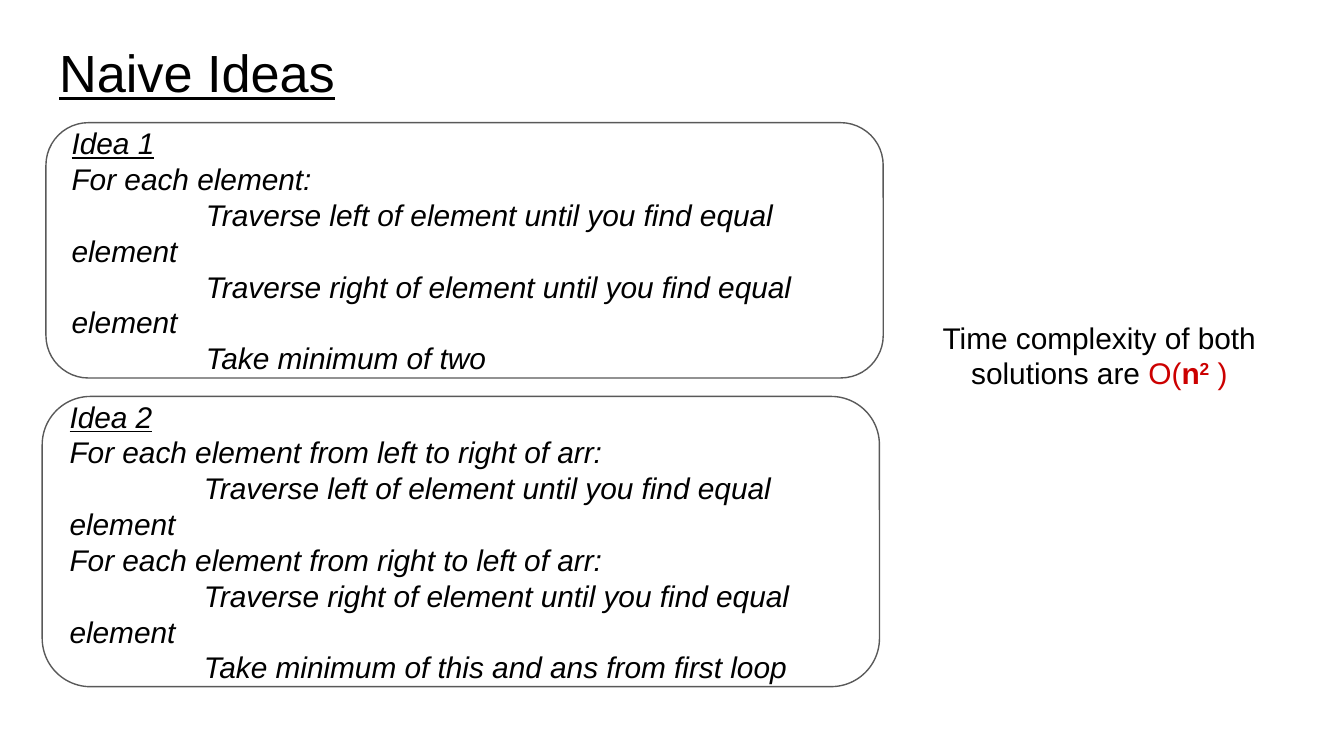
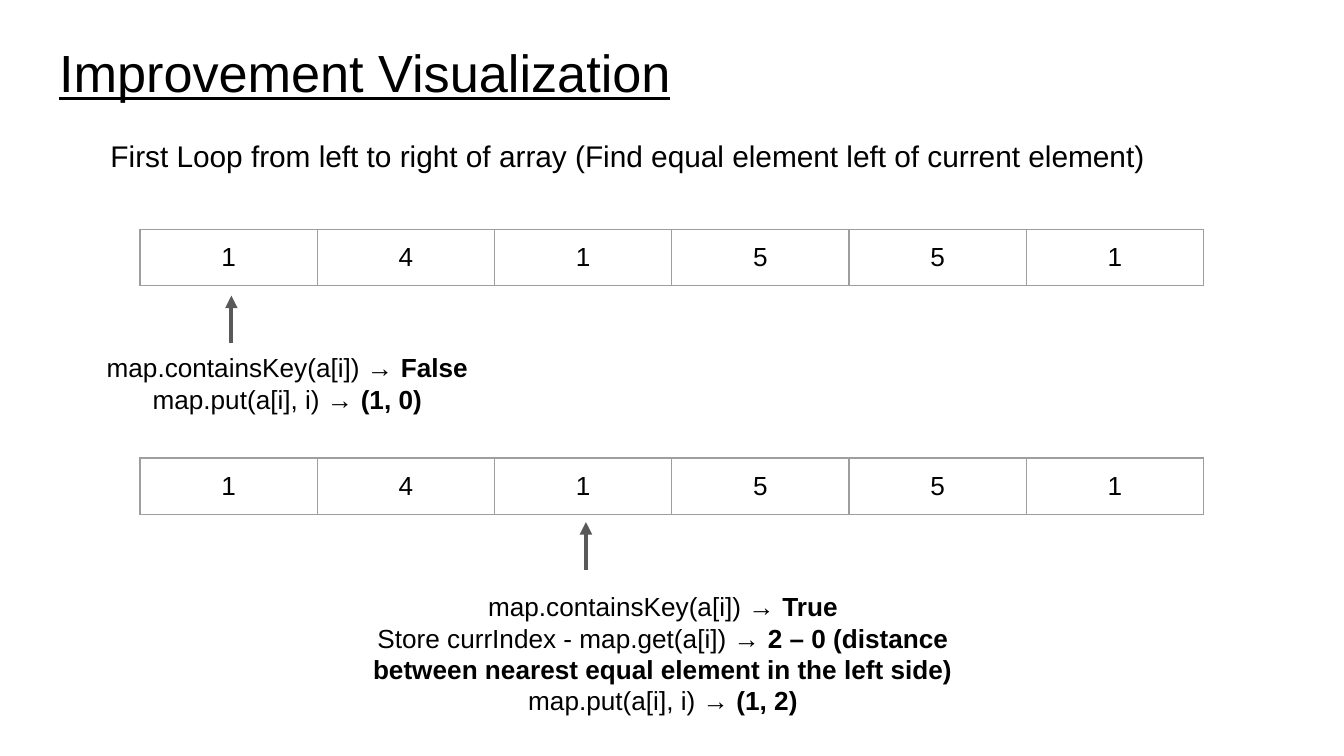
from dataclasses import dataclass

from lxml import etree
from pptx import Presentation
from pptx.dml.color import RGBColor
from pptx.enum.shapes import MSO_CONNECTOR, MSO_SHAPE
from pptx.enum.text import MSO_ANCHOR, MSO_AUTO_SIZE, PP_ALIGN
from pptx.oxml.ns import qn
from pptx.util import Inches, Pt

STRAIGHT = MSO_CONNECTOR.STRAIGHT
ROUNDED = MSO_SHAPE.ROUNDED_RECTANGLE
TOP, MIDDLE = MSO_ANCHOR.TOP, MSO_ANCHOR.MIDDLE
LEFT, CENTER = PP_ALIGN.LEFT, PP_ALIGN.CENTER
NO_AUTOFIT = MSO_AUTO_SIZE.NONE
TITLE_ONLY = 5


@dataclass(frozen=True)
class Theme:
    font: str = "Arial"
    ink: str = "000000"
    paper: str = "FFFFFF"
    accent: str = "CC0000"
    outline: str = "595959"
    border: str = "9E9E9E"
    title_size: int = 28
    body_size: int = 16
    small_size: int = 14
    thin: float = 0.75
    thick: float = 2.25


THEME = Theme()
UNIT = Inches(0.1)  # one column or row of the slide grid
COLUMNS, ROWS = 100, 56.25
INSET = UNIT
TAB_STOP = 10 * UNIT

ARRAY = [1, 4, 1, 5, 5, 1]
ARRAY_LEFT, CELL_WIDTH, CELL_HEIGHT = 10.42, 13.19, 4.2


def grid(*lengths):
    return [round(length * UNIT) for length in lengths]


def color(code):
    return RGBColor.from_string(code)


def bold(text):
    return text, {"bold": True}


def style_span(span, size, ink=THEME.ink, bold=False, italic=False,
               underline=False, baseline=0):
    font = span.font
    font.name, font.size = THEME.font, Pt(size)
    font.bold, font.italic, font.underline = bold, italic, underline
    font.color.rgb = color(ink)
    if baseline:
        span._r.get_or_add_rPr().set("baseline", str(baseline * 1000))


def add_tab_stop(para):
    stops = etree.SubElement(para._p.get_or_add_pPr(), qn("a:tabLst"))
    etree.SubElement(stops, qn("a:tab"), pos=str(TAB_STOP), algn="l")


def write_text(frame, paragraphs, align=LEFT, anchor=TOP, tabbed=False, **style):
    """Each paragraph is a list of spans: plain text, or (text, style changes)."""
    frame.word_wrap = True
    frame.auto_size = NO_AUTOFIT
    frame.vertical_anchor = anchor
    frame.margin_left = frame.margin_right = INSET
    frame.margin_top = frame.margin_bottom = INSET
    for index, spans in enumerate(paragraphs):
        para = frame.add_paragraph() if index else frame.paragraphs[0]
        para.alignment = align
        if tabbed:
            add_tab_stop(para)
        for item in spans:
            text, changes = (item, {}) if isinstance(item, str) else item
            span = para.add_run()
            span.text = text
            style_span(span, **{**style, **changes})


def add_page(deck, title):
    page = deck.slides.add_slide(deck.slide_layouts[TITLE_ONLY])
    page.background.fill.solid()
    page.background.fill.fore_color.rgb = color(THEME.paper)
    box = page.shapes.title
    box.left, box.top, box.width, box.height = grid(3.4, 2, 93.2, 6.3)
    write_text(box.text_frame, [[title]], size=THEME.title_size, underline=True)
    return page


def add_text(page, place, paragraphs, **style):
    box = page.shapes.add_textbox(*grid(*place))
    write_text(box.text_frame, paragraphs, **style)


def add_idea(page, place, heading, steps):
    box = page.shapes.add_shape(ROUNDED, *grid(*place))
    box.shadow.inherit = False
    box.fill.solid()
    box.fill.fore_color.rgb = color(THEME.paper)
    box.line.color.rgb = color(THEME.outline)
    box.line.width = Pt(THEME.thin)
    paragraphs = [[(heading, {"underline": True})]] + [[step] for step in steps]
    write_text(box.text_frame, paragraphs, anchor=MIDDLE, tabbed=True,
               size=THEME.body_size, italic=True)


def set_borders(cell):
    properties = cell._tc.get_or_add_tcPr()
    for index, side in enumerate(("lnL", "lnR", "lnT", "lnB")):
        line = etree.Element(qn(f"a:{side}"), w=str(Pt(THEME.thin)))
        fill = etree.SubElement(line, qn("a:solidFill"))
        etree.SubElement(fill, qn("a:srgbClr"), val=THEME.border)
        properties.insert(index, line)


def add_array(page, top):
    place = grid(ARRAY_LEFT, top, CELL_WIDTH * len(ARRAY), CELL_HEIGHT)
    table = page.shapes.add_table(1, len(ARRAY), *place).table
    table.first_row = table.horz_banding = False
    for cell, value in zip(table.rows[0].cells, ARRAY):
        cell.fill.background()
        set_borders(cell)
        write_text(cell.text_frame, [[str(value)]], align=CENTER,
                   size=THEME.small_size)
        cell.margin_left = cell.margin_right = INSET
        cell.margin_top = cell.margin_bottom = INSET
        cell.vertical_anchor = TOP


def add_pointer(page, index, bottom, length=3.55):
    """Arrow pointing up at the array cell with this index."""
    x = ARRAY_LEFT + CELL_WIDTH * (index + 0.5) + 0.2
    arrow = page.shapes.add_connector(
        STRAIGHT, *grid(x, bottom, x, bottom - length))
    arrow.line.color.rgb = color(THEME.outline)
    arrow.line.width = Pt(THEME.thick)
    etree.SubElement(arrow.line._get_or_add_ln(), qn("a:tailEnd"), type="triangle")
    etree.SubElement(arrow._element.spPr, qn("a:effectLst"))


def build_ideas(deck):
    page = add_page(deck, "Naive Ideas")
    go_left = "\tTraverse left of element until you find equal element"
    go_right = "\tTraverse right of element until you find equal element"
    add_idea(page, (3.42, 9.13, 62.3, 19), "Idea 1", [
        "For each element:", go_left, go_right, "\tTake minimum of two"])
    add_idea(page, (3.14, 29.5, 62.3, 21.6), "Idea 2", [
        "For each element from left to right of arr:", go_left,
        "For each element from right to left of arr:", go_right,
        "\tTake minimum of this and ans from first loop"])
    red = {"ink": THEME.accent}
    add_text(page, (68.6, 22.76, 26.4, 10.7), [[
        "Time complexity of both solutions are ", ("O(", red),
        ("n", {**red, "bold": True}),
        ("2", {**red, "bold": True, "baseline": 30}), (" )", red),
    ]], align=CENTER, size=THEME.body_size)


def build_visualization(deck):
    page = add_page(deck, "Improvement Visualization")
    add_text(page, (7.24, 9.24, 83.7, 4.7), [[
        "First Loop from left to right of array "
        "(Find equal element left of current element)"]], size=THEME.body_size)
    contains, put = "map.containsKey(a[i]) → ", "map.put(a[i], i) → "
    store = ["Store currIndex - map.get(a[i]) → ",
             bold("2 – 0 (distance between nearest equal element in the left side)")]
    steps = [
        (17.07, 0, 25.55, (5.92, 25.16, 30.9, 5.6),
         [[contains, bold("False")], [put, bold("(1, 0)")]]),
        (34.07, 2, 42.4, (24.42, 42.95, 49.8, 8.7),
         [[contains, bold("True")], store, [put, bold("(1, 2)")]]),
    ]
    for array_top, index, arrow_bottom, note_place, note in steps:
        add_array(page, array_top)
        add_pointer(page, index, arrow_bottom)
        add_text(page, note_place, note, align=CENTER, size=THEME.small_size)


def main():
    deck = Presentation()
    deck.slide_width, deck.slide_height = grid(COLUMNS, ROWS)
    build_ideas(deck)
    build_visualization(deck)
    deck.save("out.pptx")


if __name__ == "__main__":
    main()
